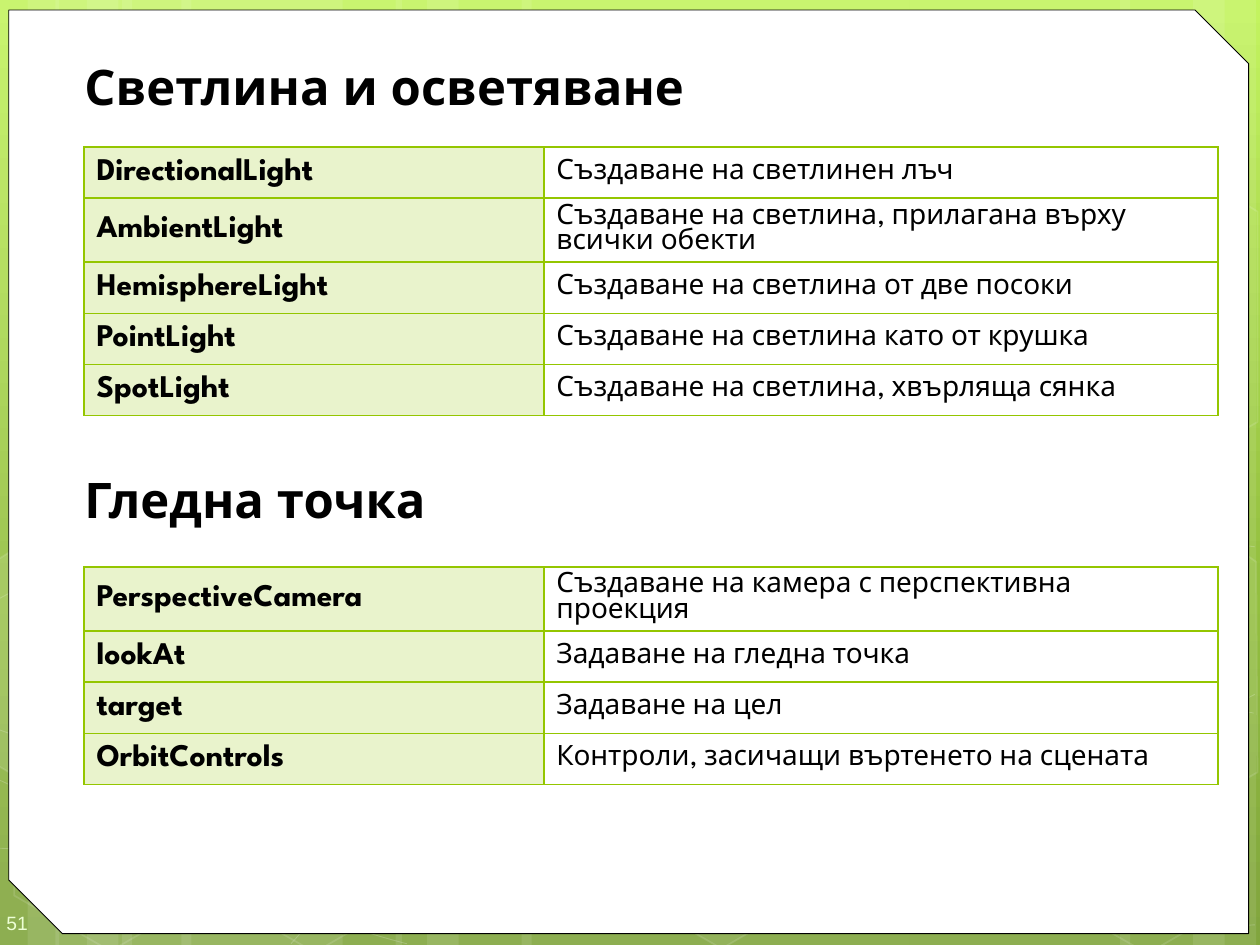
from lxml import etree
from pptx import Presentation
from pptx import util as u
from pptx.dml.color import RGBColor
from pptx.enum import shapes, text
from pptx.oxml import parse_xml
from pptx.oxml.ns import nsdecls, qn

PX = 9144  # 100 px to the inch
FONT = "League Spartan"
GREEN = "94C600"
HEADS = ["Светлина и осветяване", "Гледна точка"]
TABLES = [
    (116.6, [
        ("DirectionalLight", "Създаване на светлинен лъч"),
        ("AmbientLight", "Създаване на светлина, прилагана върху всички обекти"),
        ("HemisphereLight", "Създаване на светлина от две посоки"),
        ("PointLight", "Създаване на светлина като от крушка"),
        ("SpotLight", "Създаване на светлина, хвърляща сянка"),
    ]),
    (450, [
        ("PerspectiveCamera", "Създаване на камера с перспективна проекция"),
        ("lookAt", "Задаване на гледна точка"),
        ("target", "Задаване на цел"),
        ("OrbitControls", "Контроли, засичащи въртенето на сцената"),
    ]),
]
SKY = [(0, "C3F35F"), (62, "93BF3F"), (100, "81A53E")]
# left, width
BANDS = [(97, 175), (-3, 50), (22, 83), (144, 175), (44, 50), (69, 83),
         (722, 175), (947, 50), (889, 83), (414, 308), (314, 50), (339, 83)]
# start point, then two handles and an end point for each bend
CURVES = [
    [(-4, 673), (50, 676), (104, 679), (179, 678), (254, 677), (346, 675), (447, 665),
     (547, 655), (689, 636), (780, 617), (872, 598), (966, 568), (996, 551)],
    [(-4, 477), (25, 461), (54, 446), (110, 431), (167, 416), (247, 394), (336, 387),
     (425, 380), (533, 379), (643, 387), (753, 395), (936, 426), (996, 434)],
    [(-5, 617), (115, 672), (236, 727), (323, 749)],
    [(-4, 578), (27, 589), (59, 600), (117, 616), (175, 631), (262, 656), (345, 673),
     (429, 690), (534, 708), (617, 718), (699, 729), (789, 733), (841, 736),
     (894, 740), (908, 738), (934, 738), (959, 737), (978, 735), (996, 734)],
    [(231, 749), (249, 729), (267, 709), (291, 691), (315, 673), (349, 653), (376, 639),
     (404, 625), (422, 619), (458, 609), (495, 599), (562, 585), (597, 578),
     (632, 571), (638, 571), (669, 569), (700, 566), (749, 563), (783, 562),
     (817, 561), (875, 562), (875, 562), (897, 562), (919, 562), (941, 562),
     (960, 563), (977, 564), (986, 565), (994, 566), (991, 565), (995, 566)],
]
# left, top, fill opacity
HEXES = [(485, 589, 6), (0, 591, 0), (162, 592, 0), (823, 593, 0)]
# fill opacity, corners
CUTS = [
    (10, [(-3, 445), (8, 438), (85, 482), (84, 570), (9, 614), (-3, 607)]),
    (4, [(915, 485), (990, 441), (997, 446), (998, 613), (991, 617), (914, 573)]),
    (0, [(915, 207), (990, 163), (998, 168), (998, 335), (991, 339), (914, 295)]),
]


def px(*vals):
    return [round(v * PX) for v in vals]


def rgb(code):
    return RGBColor.from_string(code)


def fade(node, *alphas):
    for clr, a in zip(list(node.iter(qn("a:srgbClr"))), alphas):
        etree.SubElement(clr, qn("a:alpha")).set("val", str(a * 1000))


def paint(shape, fill=0, line=0, width=1):
    """White fill and line, each with its opacity in percent."""
    shape.shadow.inherit = False
    for part, a in ((shape.fill, fill), (shape.line.fill, line)):
        if a:
            part.solid()
            part.fore_color.rgb = rgb("FFFFFF")
        else:
            part.background()
    if line:
        shape.line.width = u.Pt(width)
    fade(shape.element.spPr, *[a for a in (fill, line) if a])


def trace(pts, close):
    pts = [px(*p) for p in pts]
    form = slide.shapes.build_freeform(*pts[0], scale=1.0)
    form.add_line_segments(pts[1:], close=close)
    return form.convert_to_shape()


def bend(shape):
    """Turn every three straight segments into one Bezier curve."""
    legs = list(shape.element.iter(qn("a:lnTo")))
    for i in range(0, len(legs), 3):
        curve = etree.Element(qn("a:cubicBezTo"))
        legs[i].addprevious(curve)
        for leg in legs[i:i + 3]:
            curve.append(leg[0])
            leg.getparent().remove(leg)
    return shape


def style(para, size, color="000000", bold=False, name=FONT):
    font = para.font
    font.size, font.bold, font.name = u.Pt(size), bold, name
    font.color.rgb = rgb(color)


def frame(cell):
    props = cell._tc.get_or_add_tcPr()
    for i, side in enumerate(("lnL", "lnR", "lnT", "lnB")):
        props.insert(i, parse_xml(
            f'<a:{side} {nsdecls("a")} w="12700"><a:solidFill>'
            f'<a:srgbClr val="{GREEN}"/></a:solidFill></a:{side}>'))


def grid(top, rows):
    tall = 40.56
    table = slide.shapes.add_table(
        len(rows), 2, *px(66.6, top, 900, tall * len(rows))).table
    table.first_row = table.horz_banding = False
    for col, wide in zip(table.columns, px(365, 535)):
        col.width = wide
    for r, row in enumerate(rows):
        table.rows[r].height = round(tall * PX)
        for c, words in enumerate(row):
            cell = table.cell(r, c)
            cell.text = words
            cell.vertical_anchor = text.MSO_ANCHOR.MIDDLE
            para = cell.text_frame.paragraphs[0]
            if c:
                para.line_spacing = u.Pt(14.7)
                cell.fill.background()
            else:
                cell.fill.solid()
                cell.fill.fore_color.rgb = rgb(GREEN)
                fade(cell._tc.get_or_add_tcPr(), 20)
            style(para, 16 if c else 18, bold=not c)
            frame(cell)


prs = Presentation()
prs.slide_width, prs.slide_height = px(1000, 750)
slide = prs.slides.add_slide(prs.slide_layouts[6])
kind = shapes.MSO_SHAPE

# Background
sky = slide.background.fill
sky.gradient()
sky.gradient_angle = 270
stops = slide.element.find(".//" + qn("a:gsLst"))
for old in list(stops):
    stops.remove(old)
for pos, code in SKY:
    stop = etree.SubElement(stops, qn("a:gs"), pos=str(pos * 1000))
    etree.SubElement(stop, qn("a:srgbClr"), val=code)

# Bands, curves and hexagons
for left, wide in BANDS:
    paint(slide.shapes.add_shape(kind.RECTANGLE, *px(left, 0, wide, 750)), 10)
for pts in CURVES:
    paint(bend(trace(pts, False)), 0, 20, 0.5)
for left, top, fill in HEXES:
    tile = slide.shapes.add_shape(kind.HEXAGON, *px(left, top, 175, 152))
    tile.adjustments[0], tile.adjustments[1] = 0.285, 1.155
    tile.rotation = 30
    paint(tile, fill, 12)
for fill, pts in CUTS:
    paint(trace(pts, True), fill, 12)

# White panel
panel = slide.shapes.add_shape(kind.SNIP_2_DIAG_RECTANGLE, *px(7, 8, 984, 733))
panel.adjustments[0], panel.adjustments[1] = 0, 0.058
paint(panel, 100, 100, 0.5)
panel.line.color.rgb = rgb("000000")

# Page number
page = slide.shapes.add_textbox(*px(0, 710, 58, 40)).text_frame
page.word_wrap = True
page.vertical_anchor = text.MSO_ANCHOR.MIDDLE
page.margin_left, page.margin_top, page.margin_right, page.margin_bottom = px(5, 15, 0, 10)
page.text = "51"
style(page.paragraphs[0], 11, "EEFFD6", name="Arial")

# Headings
body = slide.shapes.add_textbox(*px(50, 41, 942, 701)).text_frame
body.word_wrap = True
body.margin_left, body.margin_top = px(17, 4)
body.text = "\n".join(HEADS)
body.paragraphs[1].space_before = u.Pt(202)
for para in body.paragraphs:
    style(para, 28, bold=True)

# Tables
for top, rows in TABLES:
    grid(top, rows)

prs.save("out.pptx")
